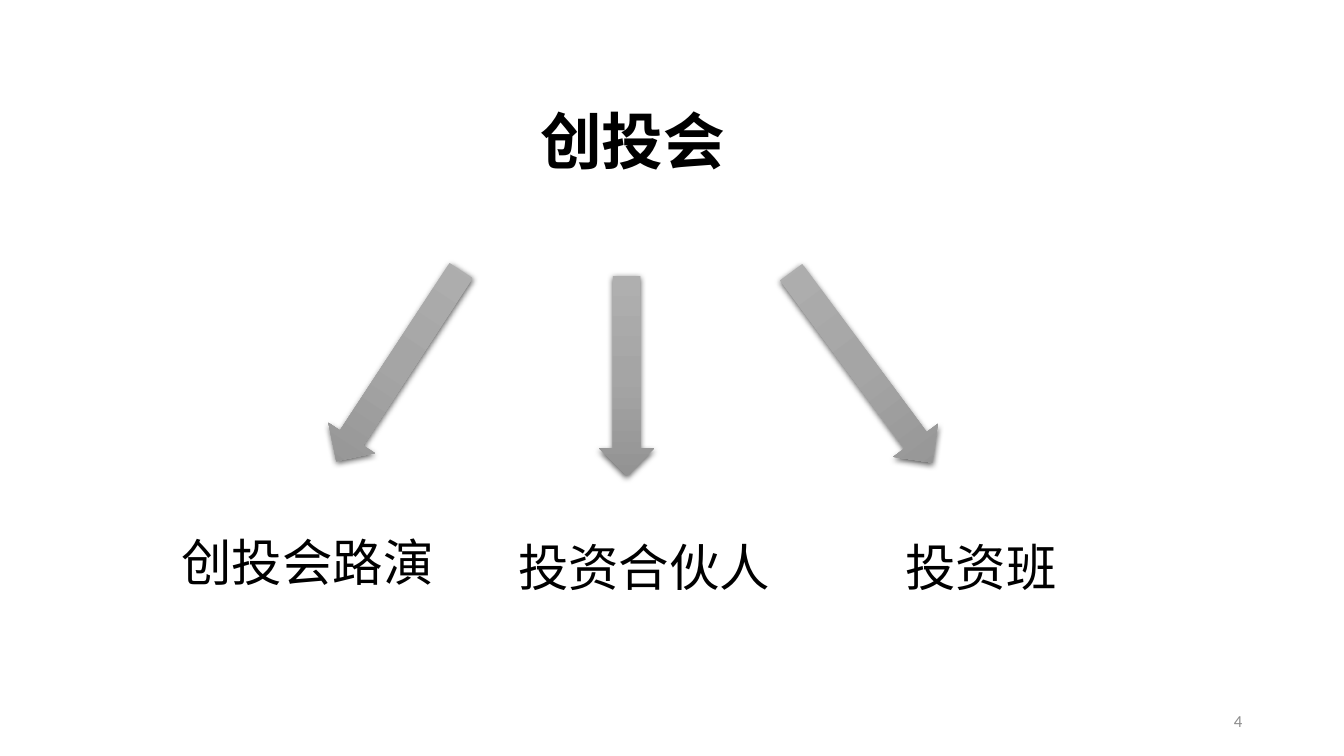
from copy import deepcopy

from lxml.etree import SubElement
from pptx import Presentation
from pptx.dml.color import RGBColor
from pptx.enum.shapes import MSO_SHAPE
from pptx.enum.text import MSO_ANCHOR, MSO_AUTO_SIZE, PP_ALIGN
from pptx.oxml.ns import qn
from pptx.util import Inches, Pt

BLACK = RGBColor(0x00, 0x00, 0x00)
PAGE_GREY = RGBColor(0x8C, 0x8C, 0x8C)
ARROW_GREYS = [
    RGBColor(0xAF, 0xAF, 0xAF),
    RGBColor(0xA5, 0xA5, 0xA5),
    RGBColor(0x93, 0x93, 0x93),
]


def write_text(box, text, size=36, color=BLACK, bold=False,
               align=PP_ALIGN.LEFT, spacing=0.9):
    frame = box.text_frame
    frame.word_wrap = True
    frame.auto_size = MSO_AUTO_SIZE.NONE
    frame.vertical_anchor = MSO_ANCHOR.MIDDLE
    paragraph = frame.paragraphs[0]
    paragraph.alignment = align
    paragraph.line_spacing = spacing
    run = paragraph.add_run()
    run.text = text
    run.font.name = "Calibri"
    run.font.size = Pt(size)
    run.font.bold = bold
    run.font.color.rgb = color


def add_arrow(left, top, height, rotation):
    """Add a down arrow with a three-stop grey gradient and a soft shadow."""
    arrow = slide.shapes.add_shape(
        MSO_SHAPE.DOWN_ARROW, Inches(left), Inches(top), Inches(0.55), Inches(height))
    arrow.rotation = rotation
    arrow.line.fill.background()

    arrow.fill.gradient()
    arrow.fill.gradient_angle = 270
    properties = arrow._element.spPr
    stop_list = properties.find(qn("a:gradFill")).find(qn("a:gsLst"))
    stop_list.insert(1, deepcopy(stop_list[0]))
    for index, (stop, grey) in enumerate(zip(arrow.fill.gradient_stops, ARROW_GREYS)):
        stop.position = index / 2
        stop.color.rgb = grey

    arrow.shadow.inherit = False
    shadow = SubElement(
        properties.find(qn("a:effectLst")), qn("a:outerShdw"),
        blurRad=str(Pt(4.5)), dist=str(Pt(1.5)), dir="5400000",
        algn="ctr", rotWithShape="0")
    shadow_color = SubElement(shadow, qn("a:srgbClr"), val="000000")
    SubElement(shadow_color, qn("a:alpha"), val="63000")


presentation = Presentation()
presentation.slide_width = Inches(13.33)
presentation.slide_height = Inches(7.5)
slide = presentation.slides.add_slide(presentation.slide_layouts[5])

roadshow = slide.shapes.title
roadshow.left, roadshow.top = Inches(1.7), Inches(4.88)
roadshow.width, roadshow.height = Inches(2.81), Inches(1.45)
write_text(roadshow, "创投会路演")

for left, top, height, rotation in [
    (3.68, 2.5, 2.26, 33.2),
    (8.27, 2.47, 2.35, 323.5),
    (5.94, 2.74, 1.98, 0),
]:
    add_arrow(left, top, height, rotation)

for text, left, top, width, height, style in [
    ("创投会", 5.26, 0.71, 2.81, 1.45, {"size": 44, "bold": True}),
    ("投资合伙人", 5.04, 4.93, 2.81, 1.45, {}),
    ("投资班", 8.88, 5.14, 2.81, 1.03, {}),
    ("4", 9.42, 6.95, 3, 0.4,
     {"size": 12, "color": PAGE_GREY, "align": PP_ALIGN.RIGHT, "spacing": 1.0}),
]:
    label = slide.shapes.add_textbox(
        Inches(left), Inches(top), Inches(width), Inches(height))
    write_text(label, text, **style)

presentation.save("out.pptx")
